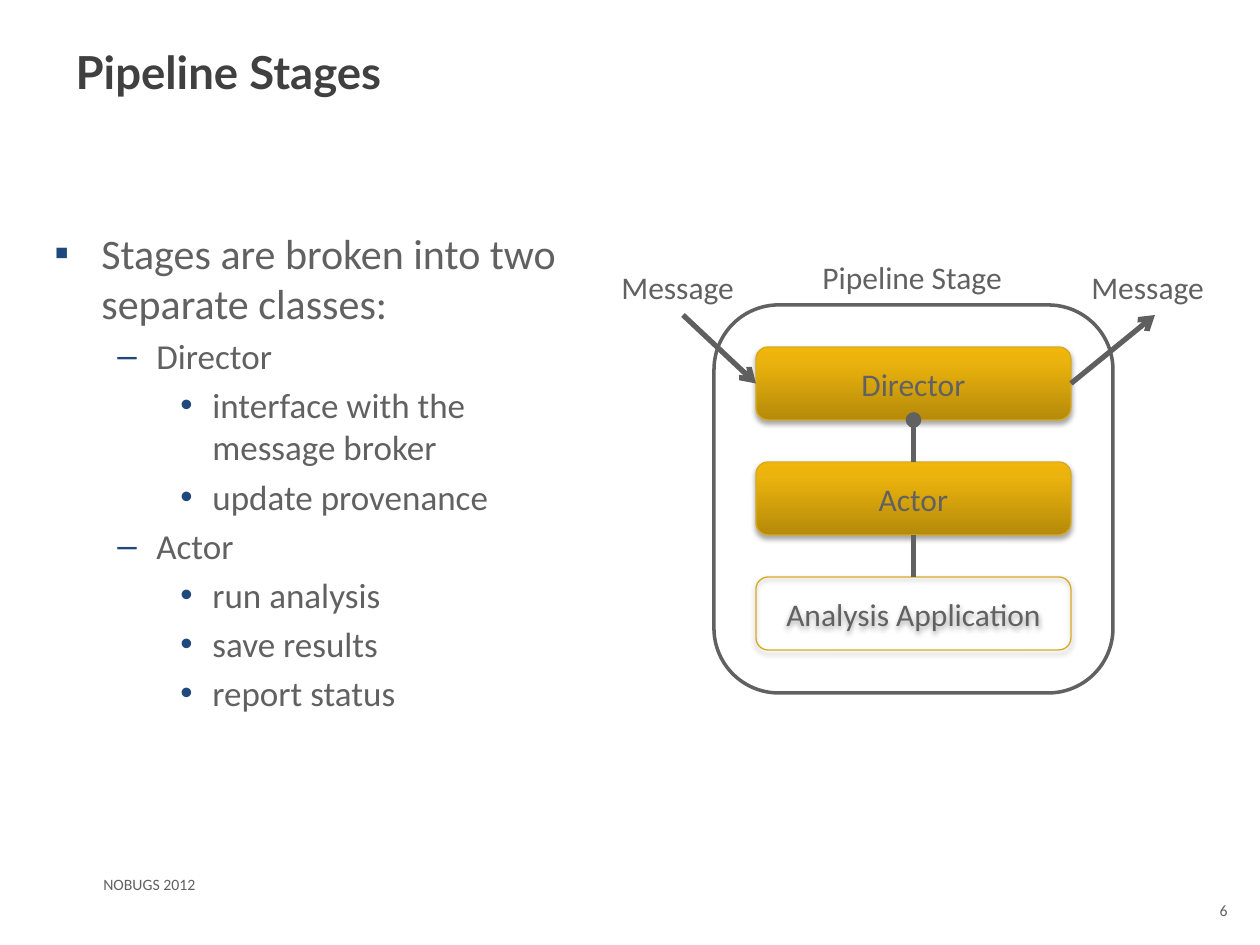
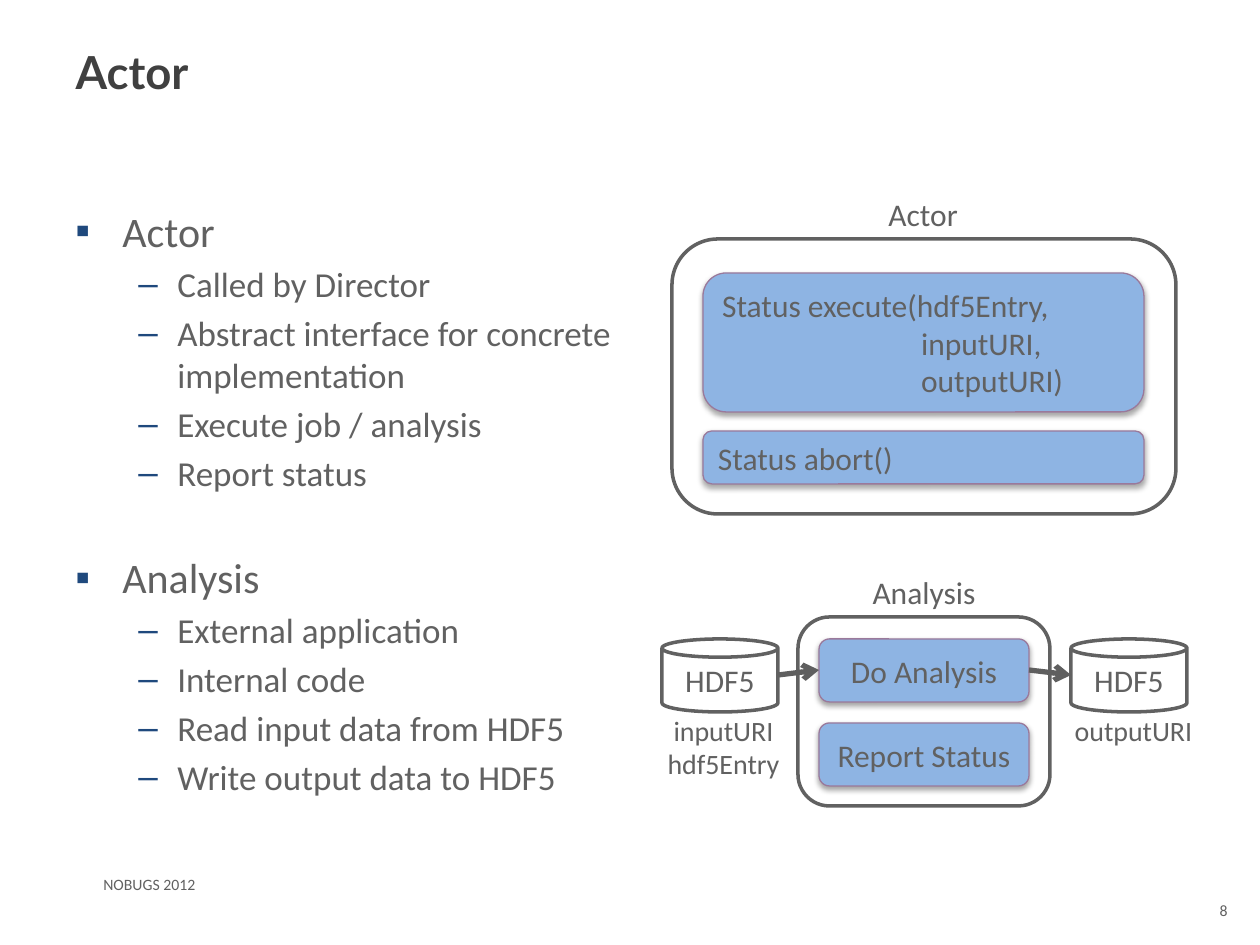
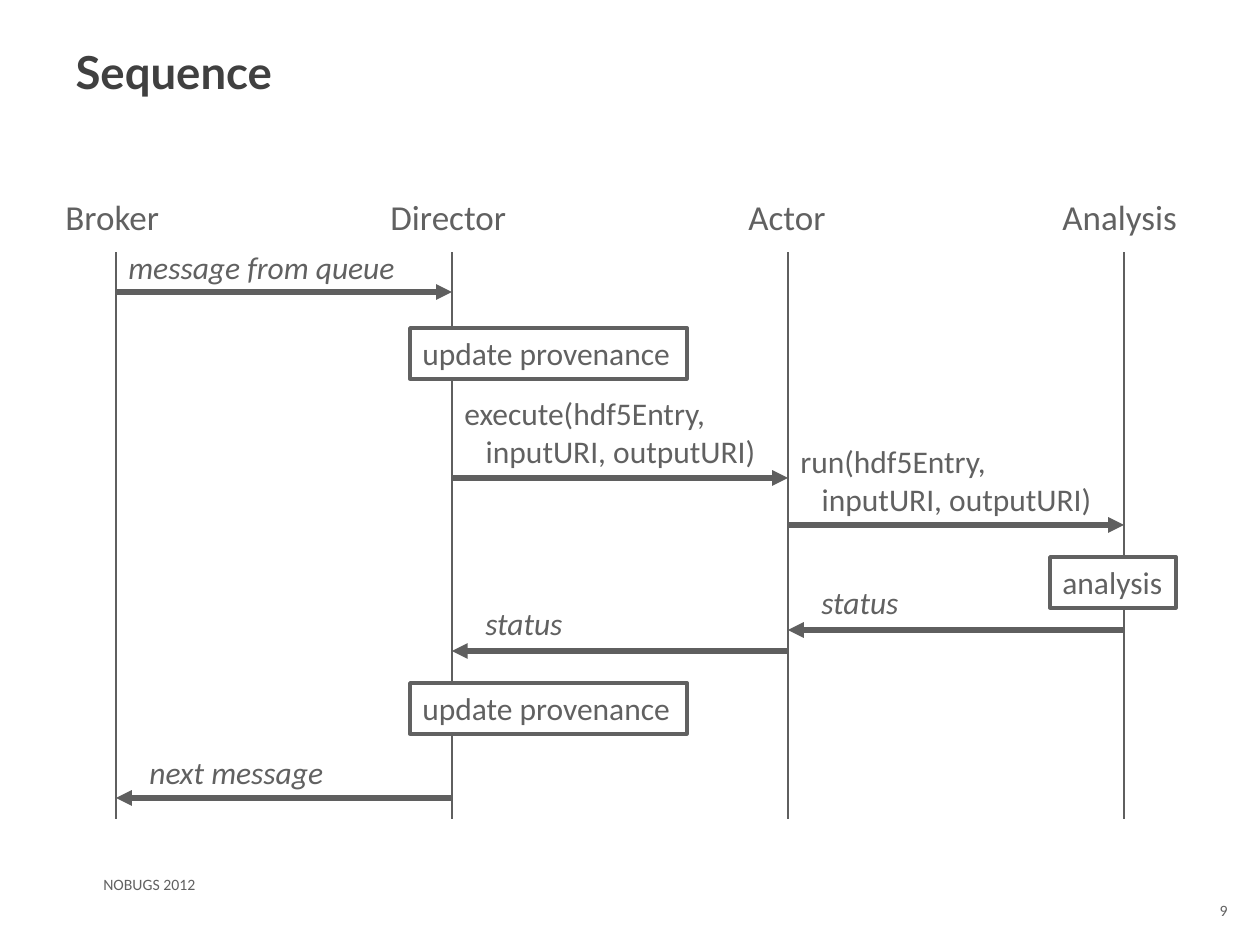
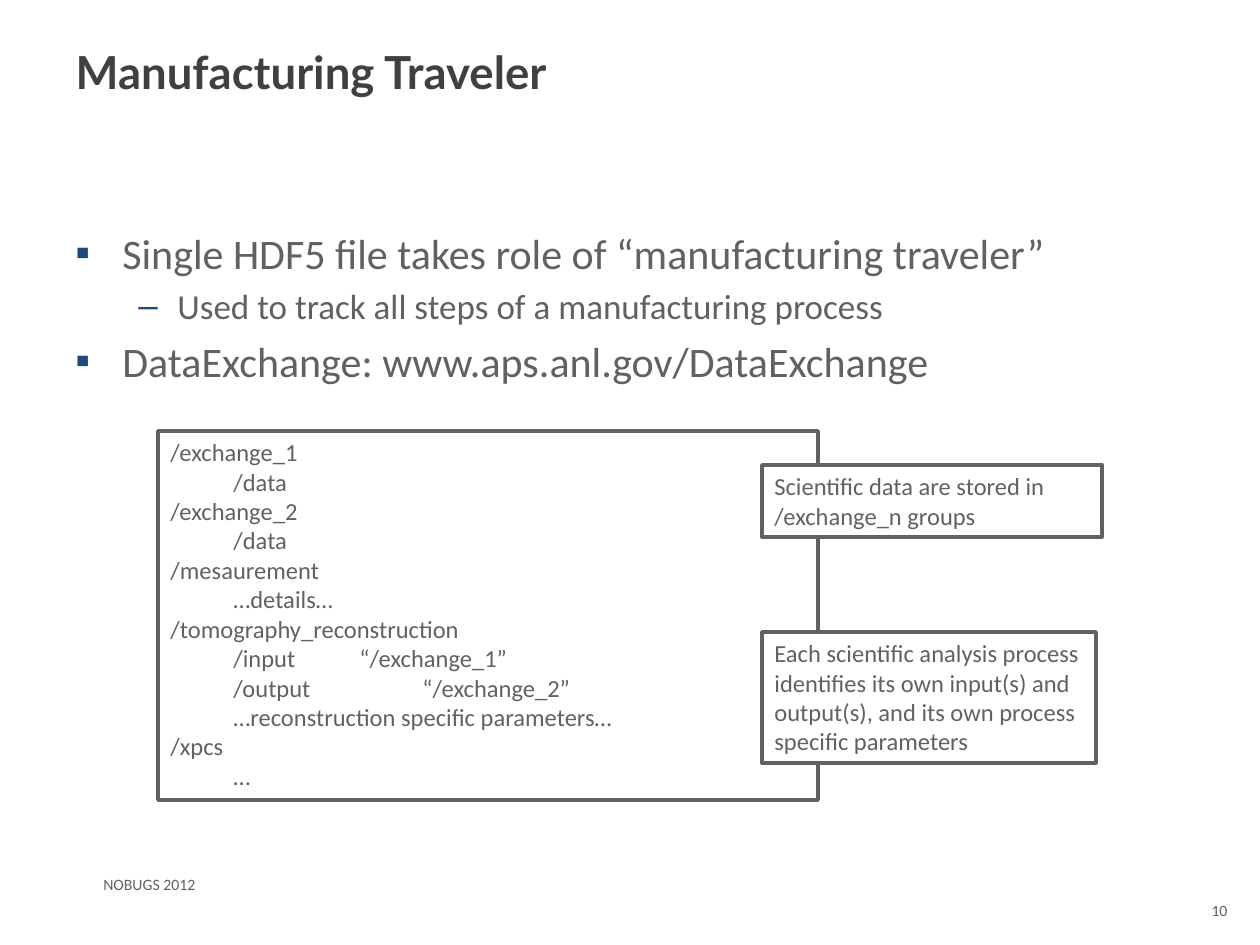
from collections import namedtuple

import lxml.etree
import pptx
import pptx.dml.color
import pptx.enum.shapes
import pptx.enum.text
import pptx.oxml.ns
import pptx.util

EMU_PER_PX = 914400 / 126
COLORS = {
    "text": "616161",
    "title": "404040",
    "bullet": "1F497D",
    "arrow": "5F5F5F",
    "paper": "FFFFFF",
    "blue": "8EB4E3",
    "blue_edge": "9A799B",
    "gold_edge": "D8AA23",
    "shadow": "000000",
}
GOLD_STOPS = [(0, "B58A0A"), (80, "EBB30D"), (100, "F0B609")]
TITLE_FONT, BODY_FONT = "Lato", "Calibri"
# Per level: bullet, text indent px, hanging px, size pt
LEVELS = [("▪", 47, 47, 24), ("–", 102, 39, 20), ("•", 158, 32, 20)]

SHAPES = pptx.enum.shapes.MSO_SHAPE
LEFT = pptx.enum.text.PP_ALIGN.LEFT
CENTER = pptx.enum.text.PP_ALIGN.CENTER
RIGHT = pptx.enum.text.PP_ALIGN.RIGHT
TOP = pptx.enum.text.MSO_ANCHOR.TOP
MIDDLE = pptx.enum.text.MSO_ANCHOR.MIDDLE
AUTO_SIZE = pptx.enum.text.MSO_AUTO_SIZE


class Box(namedtuple("Box", "left top width height")):
    def inner(self, left, top, width, height):
        """A box placed relative to this one."""
        return Box(self.left + left, self.top + top, width, height)

    def point(self, x, y):
        return self.left + x, self.top + y

    def emu(self):
        return [px(value) for value in self]


def px(value):
    return pptx.util.Emu(round(value * EMU_PER_PX))


def rgb(name):
    return pptx.dml.color.RGBColor.from_string(COLORS[name])


def add_xml(parent, tag, **attributes):
    child = lxml.etree.SubElement(parent, pptx.oxml.ns.qn(tag))
    for key, value in attributes.items():
        child.set(key, str(value))
    return child


def find_xml(parent, tag):
    return parent.find(".//" + pptx.oxml.ns.qn(tag))


# Text

def set_font(paragraph, size, color="text", name=BODY_FONT, bold=False, italic=False):
    font = paragraph.font
    font.name, font.size = name, pptx.util.Pt(size)
    font.bold, font.italic = bold, italic
    font.color.rgb = rgb(color)


def write(frame, lines, size, align=LEFT, anchor=TOP, wrap=True, grow=False, italic=False):
    frame.word_wrap = wrap
    frame.auto_size = AUTO_SIZE.SHAPE_TO_FIT_TEXT if grow else AUTO_SIZE.NONE
    frame.vertical_anchor = anchor
    for number, line in enumerate(lines):
        paragraph = frame.add_paragraph() if number else frame.paragraphs[0]
        paragraph.text = line
        paragraph.alignment = align
        set_font(paragraph, size, italic=italic)


def add_label(slide, box, *lines, size=18, align=LEFT, italic=False):
    label = slide.shapes.add_textbox(*box.emu())
    write(label.text_frame, lines, size, align, wrap=False, grow=True, italic=italic)


def add_bullets(slide, box, items):
    """Items are (level, text) or (level, text, space before in points)."""
    frame = slide.shapes.add_textbox(*box.emu()).text_frame
    frame.word_wrap = True
    for number, (level, text, *gap) in enumerate(items):
        bullet, indent, hanging, size = LEVELS[level]
        paragraph = frame.add_paragraph() if number else frame.paragraphs[0]
        paragraph.text = text
        paragraph.level = level
        properties = paragraph._p.get_or_add_pPr()
        properties.set("marL", str(px(indent)))
        properties.set("indent", str(-px(hanging)))
        add_xml(add_xml(properties, "a:buClr"), "a:srgbClr", val=COLORS["bullet"])
        add_xml(properties, "a:buFont", typeface="Arial")
        add_xml(properties, "a:buChar", char=bullet)
        if number:
            paragraph.space_before = pptx.util.Pt(gap[0] if gap else size / 5)
        set_font(paragraph, size)


# Shapes and lines

def add_block(slide, box, kind=SHAPES.ROUNDED_RECTANGLE, fill="paper", edge="text", weight=2):
    block = slide.shapes.add_shape(kind, *box.emu())
    block.shadow.inherit = False
    if fill is None:
        block.fill.background()
    elif fill == "gold":
        block.fill.gradient()
        block.fill.gradient_angle = 90
        stops = find_xml(block._element.spPr, "a:gsLst")
        stops.clear()
        for position, color in GOLD_STOPS:
            stop = add_xml(stops, "a:gs", pos=position * 1000)
            add_xml(stop, "a:srgbClr", val=color)
    else:
        block.fill.solid()
        block.fill.fore_color.rgb = rgb(fill)
    block.line.color.rgb = rgb(edge)
    block.line.width = pptx.util.Pt(weight)
    return block


def add_raised_block(slide, box, fill, edge, *lines, align=CENTER):
    block = add_block(slide, box, fill=fill, edge=edge, weight=0.75)
    effects = find_xml(block._element.spPr, "a:effectLst")
    shadow = add_xml(effects, "a:outerShdw", blurRad=40000, dist=23000,
                     dir=5400000, rotWithShape=0)
    color = add_xml(shadow, "a:srgbClr", val=COLORS["shadow"])
    add_xml(color, "a:alpha", val=35000)
    write(block.text_frame, lines, 18, align, MIDDLE)


def add_framed_text(slide, box, *lines, size=18, wrap=False):
    frame = add_block(slide, box, SHAPES.RECTANGLE).text_frame
    write(frame, lines, size, wrap=wrap, grow=True)


def add_line(slide, start, end, weight=3, color="arrow", head=None, tail=None):
    line = slide.shapes.add_connector(
        pptx.enum.shapes.MSO_CONNECTOR.STRAIGHT, *map(px, (*start, *end)))
    line.line.color.rgb = rgb(color)
    line.line.width = pptx.util.Pt(weight)
    properties = line._element.spPr
    outline = find_xml(properties, "a:ln")
    if head:
        add_xml(outline, "a:headEnd", type=head)
    if tail:
        add_xml(outline, "a:tailEnd", type=tail)
    add_xml(properties, "a:effectLst")


# Slide frame: title, footer, page number

def add_slide(deck, title, page):
    slide = deck.slides.add_slide(deck.slide_layouts[5])
    heading = slide.shapes.title
    heading.left, heading.top, heading.width, heading.height = Box(63, 38, 1134, 158).emu()
    write(heading.text_frame, [title], 26)
    set_font(heading.text_frame.paragraphs[0], 26, "title", TITLE_FONT, bold=True)

    footer = slide.shapes.add_textbox(*Box(91, 869, 819, 32).emu())
    write(footer.text_frame, ["NOBUGS 2012"], 9)
    page_number = slide.shapes.add_textbox(*Box(1187, 895, 53, 50).emu())
    write(page_number.text_frame, [str(page)], 9, RIGHT)
    return slide


# Diagrams

def draw_pipeline_stage(slide, box):
    add_block(slide, box.inner(105, 53, 399, 388))
    layers = [("Director", "gold"), ("Actor", "gold"), ("Analysis Application", None)]
    layer_left, first_top, width, height, pitch = 147, 95, 315, 73, 115
    for row, (layer, fill) in enumerate(layers):
        add_raised_block(slide, box.inner(layer_left, first_top + row * pitch, width, height),
                         fill, "gold_edge", layer)
    # Links between neighbouring layers
    center = layer_left + width / 2
    for row, head in enumerate(["oval", None]):
        upper = first_top + row * pitch + height
        add_line(slide, box.point(center, upper),
                 box.point(center, upper + pitch - height), color="text", head=head)
    # Messages in and out of the director
    director_middle = first_top + height / 2
    add_line(slide, box.point(layer_left + width, director_middle),
             box.point(546, 63), tail="arrow")
    add_line(slide, box.point(74, 63), box.point(layer_left, director_middle), tail="arrow")
    add_label(slide, box.inner(201, 0, 208, 50), "Pipeline Stage")
    for left in (0, 470):
        add_label(slide, box.inner(left, 10, 140, 50), "Message")


def draw_actor_interface(slide, box):
    add_block(slide, box.inner(0, 50, 504, 275))
    add_label(slide, box.inner(204, 0, 96, 50), "Actor")
    indent = " " * 28
    add_raised_block(slide, box.inner(31, 84, 441, 139), "blue", "blue_edge",
                     "Status execute(hdf5Entry,", indent + "inputURI,",
                     indent + "outputURI)", align=LEFT)
    add_raised_block(slide, box.inner(31, 242, 441, 53), "blue", "blue_edge",
                     "Status abort()", align=LEFT)


def draw_analysis_flow(slide, box):
    for left in (8, 417):
        store = add_block(slide, box.inner(left, 72, 116, 73), SHAPES.CAN)
        write(store.text_frame, ["HDF5"], 18, CENTER, MIDDLE)
    add_block(slide, box.inner(144, 50, 252, 189))
    for row, task in enumerate(["Do Analysis", "Report Status"]):
        add_raised_block(slide, box.inner(165, 72 + row * 84, 210, 63),
                         "blue", "blue_edge", task)
    add_label(slide, box.inner(205, 0, 130, 50), "Analysis", align=CENTER)
    add_line(slide, box.point(124, 108), box.point(165, 103), tail="arrow")
    add_line(slide, box.point(375, 103), box.point(417, 108), tail="arrow")
    add_label(slide, box.inner(0, 140, 139, 81), "inputURI", "hdf5Entry",
              size=16, align=CENTER)
    add_label(slide, box.inner(407, 140, 145, 47), "outputURI", size=16, align=CENTER)


def draw_sequence(slide, box):
    def lifeline_x(column):
        return 63 + 336 * column

    # Participants: name, left, width
    participants = [("Broker", 0, 122), ("Director", 325, 144),
                    ("Actor", 683, 103), ("Analysis", 997, 141)]
    for column, (name, left, width) in enumerate(participants):
        x = lifeline_x(column)
        add_line(slide, box.point(x, 63), box.point(x, 630), weight=0.75)
        add_label(slide, box.inner(left, 0, width, 55), name, size=20)

    # Messages: sender, receiver, arrow y, label top, label width, lines
    messages = [
        (0, 1, 103, 53, 302, ["message from queue"]),
        (1, 2, 289, 199, 320, ["execute(hdf5Entry,", "   inputURI, outputURI)"]),
        (2, 3, 336, 247, 320, ["run(hdf5Entry,", "   inputURI, outputURI)"]),
        (3, 2, 441, 388, 112, ["status"]),
        (2, 1, 462, 409, 112, ["status"]),
        (1, 0, 609, 558, 209, ["next message"]),
    ]
    for sender, receiver, y, label_top, width, lines in messages:
        add_line(slide, box.point(lifeline_x(sender), y),
                 box.point(lifeline_x(receiver), y), tail="triangle")
        reply_indent = 21 if receiver < sender else 0
        label_left = lifeline_x(min(sender, receiver)) + reply_indent
        add_label(slide, box.inner(label_left, label_top, width, 51 if len(lines) == 1 else 89),
                  *lines, italic=len(lines) == 1)

    # Activities on the lifelines
    for left, top, width, activity in [(357, 139, 277, "update provenance"),
                                       (357, 494, 277, "update provenance"),
                                       (997, 368, 126, "analysis")]:
        add_framed_text(slide, box.inner(left, top, width, 51), activity)


def draw_file_layout(slide, box):
    add_framed_text(
        slide, box.inner(0, 0, 660, 369),
        "/exchange_1", "\t/data", "/exchange_2", "\t/data",
        "/mesaurement", "\t…details…", "/tomography_reconstruction",
        "\t/input\t\t“/exchange_1”", "\t/output\t\t“/exchange_2”",
        "\t…reconstruction specific parameters…", "/xpcs", "\t…",
        size=14, wrap=True)
    add_framed_text(
        slide, box.inner(604, 201, 334, 131),
        "Each scientific analysis process", "identifies its own input(s) and",
        "output(s), and its own process", "specific parameters", size=14)
    add_framed_text(
        slide, box.inner(604, 34, 340, 72),
        "Scientific data are stored in", "/exchange_n groups", size=14, wrap=True)


# Slides

def build_stages(deck):
    slide = add_slide(deck, "Pipeline Stages", 6)
    add_bullets(slide, Box(42, 221, 567, 514), [
        (0, "Stages are broken into two separate classes:"),
        (1, "Director"),
        (2, "interface with the message broker"),
        (2, "update provenance"),
        (1, "Actor"),
        (2, "run analysis"),
        (2, "save results"),
        (2, "report status"),
    ])
    draw_pipeline_stage(slide, Box(609, 252, 610, 441))


def build_actor(deck):
    slide = add_slide(deck, "Actor", 8)
    add_bullets(slide, Box(63, 199, 567, 624), [
        (0, "Actor"),
        (1, "Called by Director"),
        (1, "Abstract interface for concrete implementation"),
        (1, "Execute job / analysis"),
        (1, "Report status"),
        (0, "Analysis", 33),
        (1, "External application"),
        (1, "Internal code"),
        (1, "Read input data from HDF5"),
        (1, "Write output data to HDF5"),
    ])
    draw_actor_interface(slide, Box(672, 189, 504, 325))
    draw_analysis_flow(slide, Box(654, 567, 552, 239))


def build_sequence(deck):
    slide = add_slide(deck, "Sequence", 9)
    draw_sequence(slide, Box(53, 189, 1138, 630))


def build_traveler(deck):
    slide = add_slide(deck, "Manufacturing Traveler", 10)
    add_bullets(slide, Box(63, 221, 1134, 221), [
        (0, "Single HDF5 file takes role of “manufacturing traveler”"),
        (1, "Used to track all steps of a manufacturing process"),
        (0, "DataExchange: www.aps.anl.gov/DataExchange"),
    ])
    draw_file_layout(slide, Box(158, 431, 944, 369))


def main():
    deck = pptx.Presentation()
    deck.slide_width, deck.slide_height = px(1260), px(945)
    build_stages(deck)
    build_actor(deck)
    build_sequence(deck)
    build_traveler(deck)
    deck.save("out.pptx")


if __name__ == "__main__":
    main()
